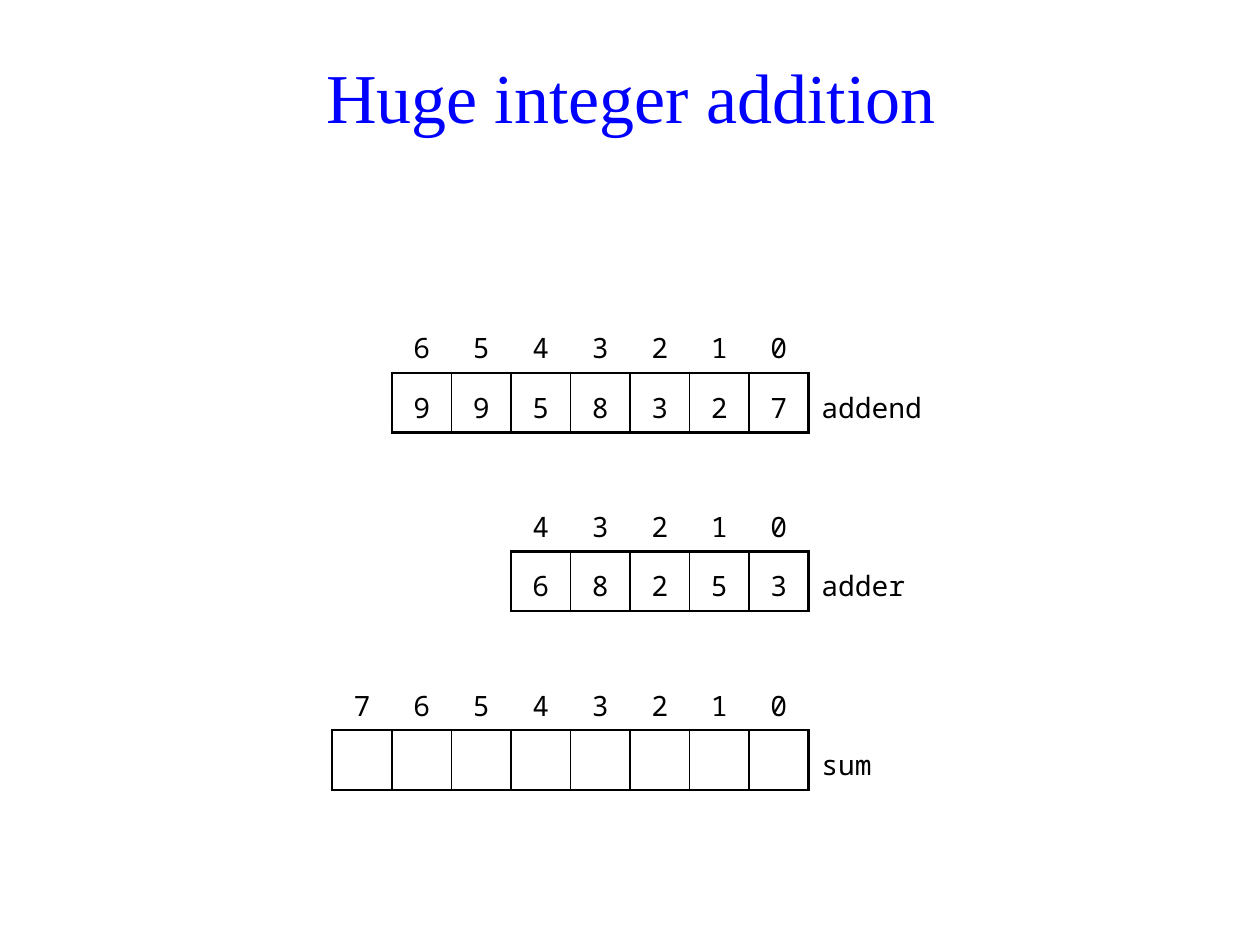
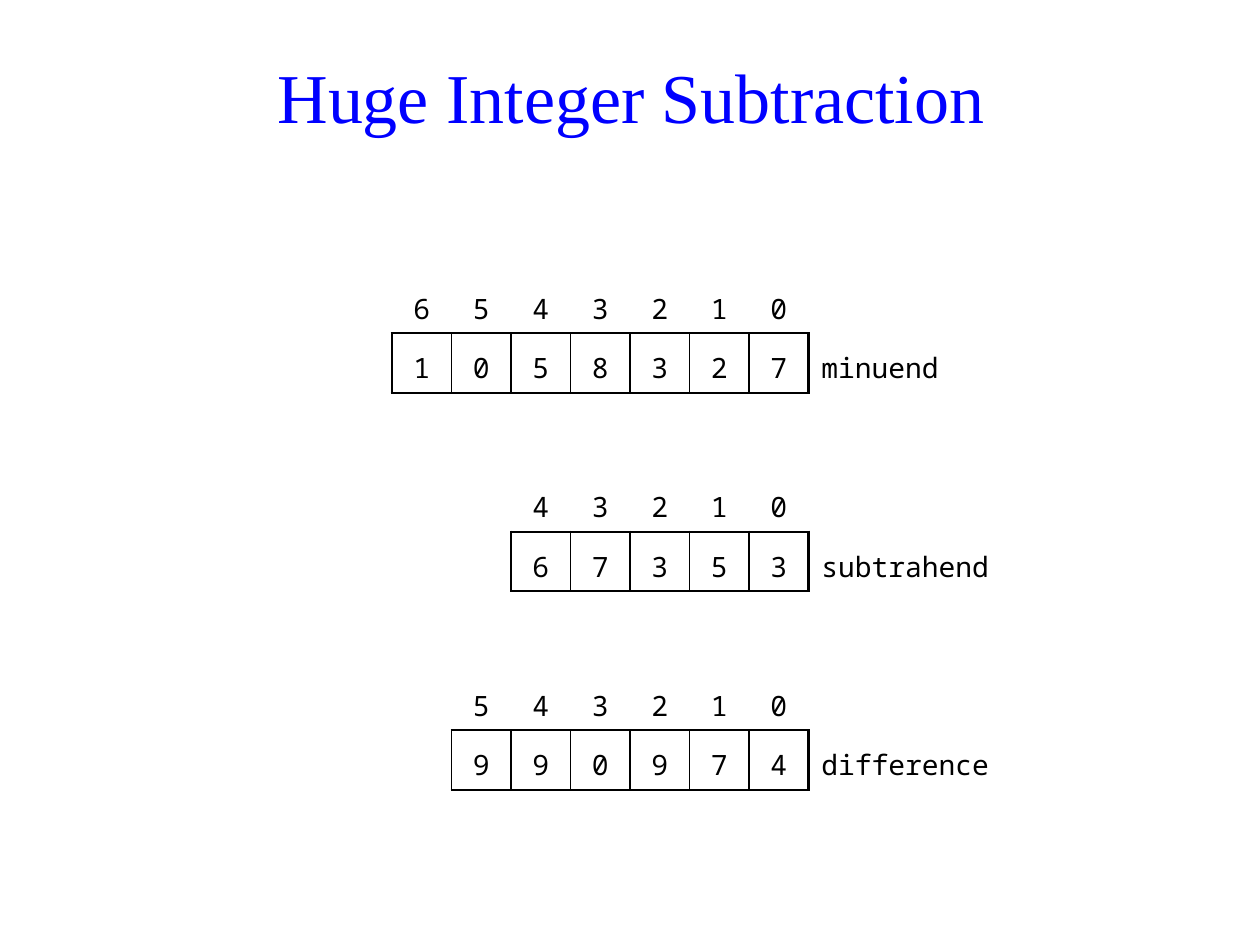
from dataclasses import dataclass

from pptx import Presentation, util as u
from pptx.dml import color as c
from pptx.enum import text as t
from pptx.oxml import xmlchemy as x

# Shared scale, grid and style
PX = 7200  # EMU in one px, 127 px to the inch
CELL = 60
RIGHT = 815  # right edge of every digit row
INK, BLUE, PAPER = "000000", "0000FF", "FFFFFF"
SERIF, MONO = "Times New Roman", "Noto Sans Mono"
THIN, BOLD = 1, 1.5


@dataclass
class Number:
    name: str
    digits: str  # a blank stands for an empty cell
    room: int  # width of the name column
    left: float = THIN  # weight of the outer left border


@dataclass
class Sum:
    title: str
    top: int
    pitch: int
    rows: list[Number]


SUMS = [
    Sum("Huge integer addition", 316, 180, [
        Number("addend", "9958327", 140, BOLD),
        Number("adder", "68253", 120),
        Number("sum", " " * 8, 80, BOLD),
    ]),
    Sum("Huge Integer Subtraction", 276, 200, [
        Number("minuend", "1058327", 160, BOLD),
        Number("subtrahend", "67353", 200),
        Number("difference", "990974", 200),
    ]),
]


def px(n: int) -> int:
    return u.Emu(n * PX)


def rgb(code: str) -> c.RGBColor:
    return c.RGBColor.from_string(code)


def write(frame, words: str, *, size: int = 16, font: str = MONO,
          color: str = INK, align=t.PP_ALIGN.CENTER, gap: float = 1.25) -> None:
    para = frame.paragraphs[0]
    para.alignment = align
    para.line_spacing = gap
    run = para.add_run()
    run.text = words
    run.font.size = u.Pt(size)
    run.font.name = font
    run.font.color.rgb = rgb(color)


def edge(cell, **sides: float) -> None:
    """Draw the given sides (L, R, T, B) in points and clear the others."""
    props = cell._tc.get_or_add_tcPr()
    for side in "LRTB":
        width = sides.get(side, 0)
        line = x.OxmlElement(f"a:ln{side}")
        line.set("w", str(int(u.Pt(width))))
        fill = x.OxmlElement("a:solidFill" if width else "a:noFill")
        if width:
            tone = x.OxmlElement("a:srgbClr")
            tone.set("val", INK)
            fill.append(tone)
        line.append(fill)
        props.append(line)


def fill(cell, words: str, align=t.PP_ALIGN.CENTER, **sides: float) -> None:
    edge(cell, **sides)
    cell.fill.background()
    cell.vertical_anchor = t.MSO_ANCHOR.MIDDLE
    cell.margin_left = cell.margin_right = px(13)
    cell.margin_top = cell.margin_bottom = px(3)
    if words.strip():
        write(cell.text_frame, words, align=align)


def head(slide, words: str) -> None:
    box = slide.shapes.add_textbox(px(36), px(36), px(1200), px(120))
    frame = box.text_frame
    frame.word_wrap = True
    frame.vertical_anchor = t.MSO_ANCHOR.MIDDLE
    write(frame, words, size=40, font=SERIF, color=BLUE, gap=1)


def grid(slide, num: Number, top: int) -> None:
    count = len(num.digits)
    wide = count * CELL
    table = slide.shapes.add_table(
        2, count + 1, px(RIGHT - wide), px(top),
        px(wide + num.room), px(2 * CELL)).table
    table.first_row = table.horz_banding = False
    for row in table.rows:
        row.height = px(CELL)
    for col in table.columns:
        col.width = px(CELL)
    table.columns[count].width = px(num.room)

    # Place numbers above, digits below
    for i, digit in enumerate(num.digits):
        last = count - 1 - i
        fill(table.cell(0, i), str(last), B=BOLD)
        fill(table.cell(1, i), digit, L=THIN if i else num.left,
             R=THIN if last else BOLD, T=BOLD, B=BOLD)

    # Name on the right
    fill(table.cell(0, count), "")
    fill(table.cell(1, count), num.name, t.PP_ALIGN.LEFT, L=BOLD)


def main() -> None:
    deck = Presentation()
    deck.slide_width, deck.slide_height = u.Inches(10), u.Inches(7.5)
    for item in SUMS:
        slide = deck.slides.add_slide(deck.slide_layouts[6])
        slide.background.fill.solid()
        slide.background.fill.fore_color.rgb = rgb(PAPER)
        head(slide, item.title)
        for i, num in enumerate(item.rows):
            grid(slide, num, item.top + i * item.pitch)
    deck.save("out.pptx")


if __name__ == "__main__":
    main()
